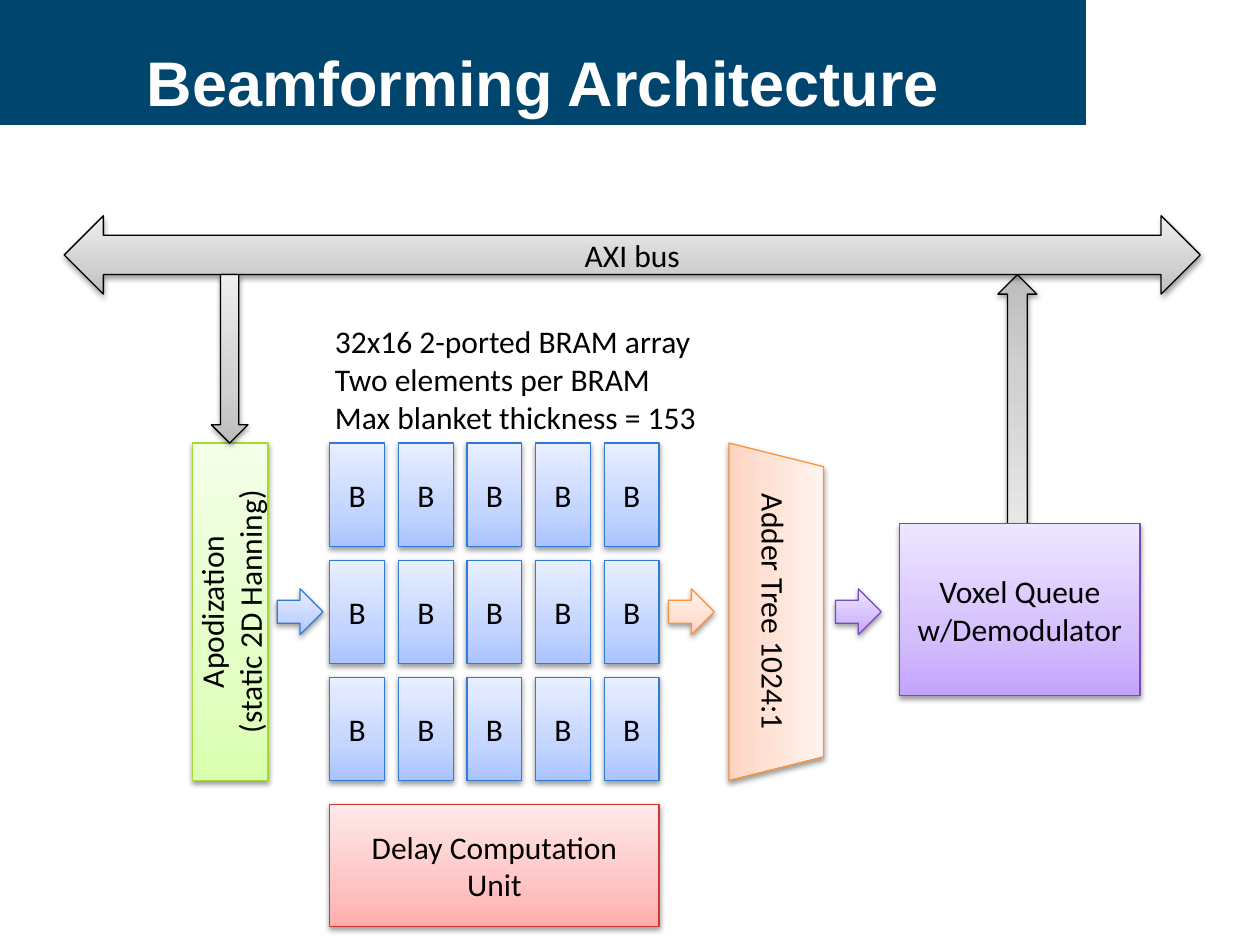
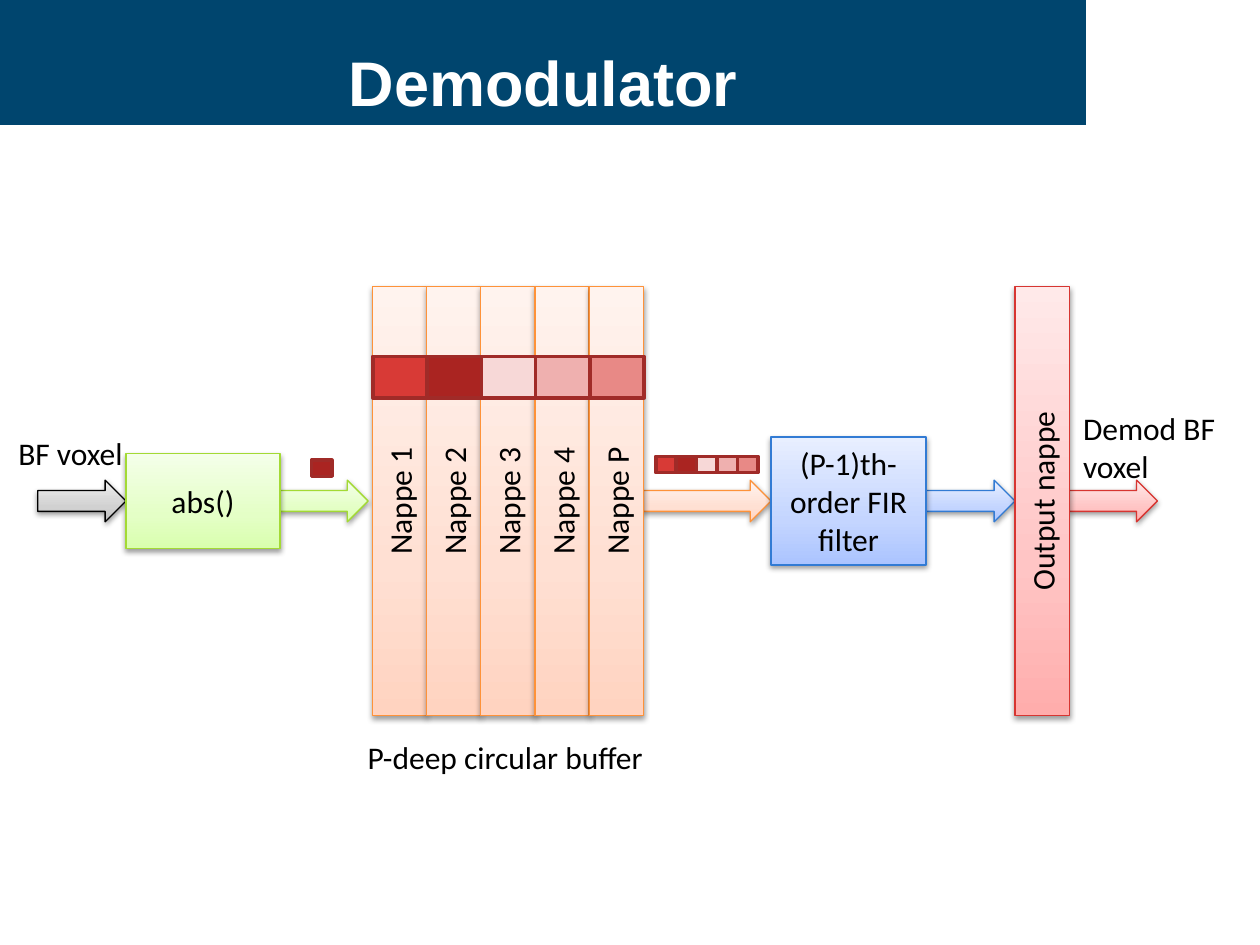
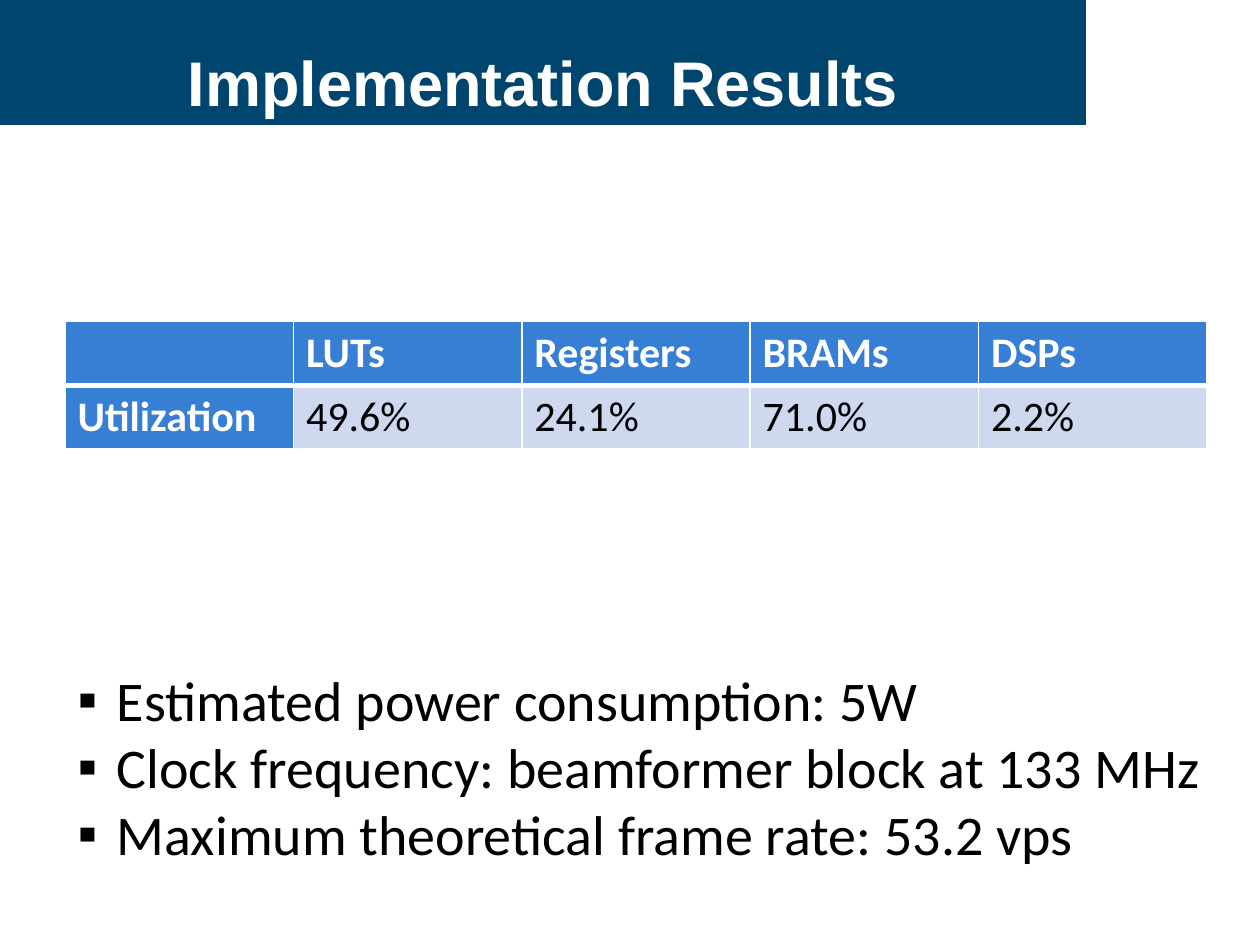
from copy import deepcopy
from lxml.etree import SubElement
from pptx import Presentation
from pptx.dml.color import RGBColor
from pptx.enum.shapes import MSO_SHAPE as Kind
from pptx.enum.text import MSO_ANCHOR, MSO_AUTO_SIZE, PP_ALIGN
from pptx.oxml.ns import qn
from pptx.util import Pt


class Theme:
    head, font = "Arial", "Calibri"
    title, text, cell, item = 36, 18, 24, 32
    navy, white, ink = "00456E", "FFFFFF", "000000"
    table, pale = "377ED5", "CED8EF"
    # Gradient colours from bottom to top, then the outline
    gray = ("BDBDBD", "D1D1D1", "EEEEEE", "000000")
    blue = ("ABC4FF", "C4D5FF", "E8EFFF", "327BD4")
    green = ("D9FFAE", "E4FFC6", "F4FFE9", "A3DA34")
    red = ("FFADAC", "FFC5C5", "FFE9E9", "D73531")
    orange = ("FFD3C0", "FFE0D3", "FFF3EE", "FE9239")
    purple = ("C3A3FE", "D4BFFD", "EEE6FF", "7B48B9")
    voxels = ("D83A36", "AA2421", "F7D8D7", "EFB0AF", "E88986")
    edge = "A02B28"


def write(frame, text, size=Theme.text, color=Theme.ink, font=Theme.font,
          bold=False, align=PP_ALIGN.LEFT):
    frame.text = text
    for para in frame.paragraphs:
        para.alignment = align
        for run in para.runs:
            run.font.size = Pt(size)
            run.font.name = font
            run.font.bold = bold
            run.font.color.rgb = RGBColor.from_string(color)


def draw(shapes, kind, x, y, w, h, skin, text=""):
    """Add a shape: a four-colour skin gives gradient and shadow, a pair is flat."""
    shape = shapes.add_shape(kind, Pt(x), Pt(y), Pt(w), Pt(h))
    shape.shadow.inherit = False
    *fills, edge = skin
    shape.line.color.rgb = RGBColor.from_string(edge)
    if len(fills) == 1:
        shape.fill.solid()
        shape.fill.fore_color.rgb = RGBColor.from_string(fills[0])
        shape.line.width = Pt(2)
        return shape
    shape.line.width = Pt(0.75)
    shape.fill.gradient()
    shape.fill.gradient_angle = 90
    first = next(shape.element.iter(qn("a:gs")))
    first.addnext(deepcopy(first))
    for stop, color, place in zip(shape.fill.gradient_stops, fills, (0, 0.35, 1)):
        stop.color.rgb = RGBColor.from_string(color)
        stop.position = place
    effects = next(shape.element.iter(qn("a:effectLst")))
    shadow = SubElement(effects, qn("a:outerShdw"), blurRad="40000", dist="20000",
                        dir="5400000", rotWithShape="0")
    black = SubElement(shadow, qn("a:srgbClr"), val=Theme.ink)
    SubElement(black, qn("a:alpha"), val="38000")
    if text:
        shape.text_frame.vertical_anchor = MSO_ANCHOR.MIDDLE
        write(shape.text_frame, text, align=PP_ALIGN.CENTER)
    return shape


deck = Presentation()
wide, high = 720, 540
deck.slide_width, deck.slide_height = Pt(wide), Pt(high)

# Shared layout: title place and header bands
split = 620.7
layout = deck.slide_layouts[1]
for holder in list(layout.placeholders):
    if holder.placeholder_format.idx >= 10:
        holder.element.getparent().remove(holder.element)
head = layout.placeholders[0]
head.left, head.top, head.width, head.height = Pt(0), Pt(10), Pt(split), Pt(72.7)
head.text_frame.vertical_anchor = MSO_ANCHOR.MIDDLE

slides = []
for name in ("Beamforming Architecture", "Demodulator", "Implementation Results"):
    slide = deck.slides.add_slide(layout)
    frame = slide.shapes.title.text_frame
    frame.word_wrap = False
    frame.auto_size = MSO_AUTO_SIZE.NONE
    write(frame, name, Theme.title, Theme.white, Theme.head, True, PP_ALIGN.CENTER)
    slides.append(slide)
beam, demod, result = slides

bands = [
    (0, 0, wide, 71.4, Theme.navy),
    (split, 0, wide - split, 90.7, Theme.white),
    (0, 87.8, split, 2.9, Theme.white),
]
# Shapes are made on a slide, then moved behind the layout's placeholders
for spot, (x, y, w, h, color) in enumerate(bands, 2):
    band = draw(beam.shapes, Kind.RECTANGLE, x, y, w, h, (color, color))
    band.line.fill.background()
    layout.shapes.element.insert(spot, band.element)

for slide in (beam, demod):
    body = slide.placeholders[1].element
    body.getparent().remove(body)

# Beamforming Architecture: the blocks share one top, height and middle line
shapes = beam.shapes
top, tall = 253.2, 192.8
mid = top + tall / 2
left, ram_w, ram_h, gap = 188.5, 31.3, 59, 7.9
array_w = 5 * ram_w + 4 * gap
bus_y, bus_h = 123.3, 44.8
bus_low = bus_y + bus_h * 0.75
queue_y, queue_h = 299.3, 98.3

rise = draw(shapes, Kind.DOWN_ARROW, 570.2, bus_low, 22.3, 168.5, Theme.gray)
rise.rotation = 180
for row in range(3):
    for col in range(5):
        draw(shapes, Kind.RECTANGLE, left + col * (ram_w + gap),
             top + row * (ram_h + gap), ram_w, ram_h, Theme.blue, "B")
draw(shapes, Kind.LEFT_RIGHT_ARROW, 36.7, bus_y, 649.2, bus_h, Theme.gray, "AXI bus")
window = draw(shapes, Kind.RECTANGLE, 110, top, 43.2, tall, Theme.green,
              "Apodization\v(static 2D Hanning)")
draw(shapes, Kind.DOWN_ARROW, 120.8, bus_low, 20.9, top - bus_low, Theme.gray)
draw(shapes, Kind.RECTANGLE, left, 459.6, array_w, 69.8, Theme.red,
     "Delay Computation Unit")
# The adder is laid out flat and then turned about its centre
adder_x, adder_w = 443.6, 54
adder = draw(shapes, Kind.TRAPEZOID, adder_x - tall / 2, mid - adder_w / 2,
             tall, adder_w, Theme.orange, "Adder Tree 1024:1")
adder.rotation = 90
draw(shapes, Kind.RECTANGLE, 514, queue_y, 137.5, queue_h, Theme.purple,
     "Voxel Queue\nw/Demodulator")
step = 26.2
for x, skin in ((158.4, Theme.blue), (382, Theme.orange), (477.4, Theme.purple)):
    draw(shapes, Kind.RIGHT_ARROW, x, mid - step / 2, step, step, skin)

# Demodulator: every stage is centred on the flow line, arrows lie behind
shapes = demod.shapes
flow, arrow_h = 286.3, 23.8
abs_x, abs_w, abs_h = 72, 88, 54
buf_x, nappe_w, nappe_h = 212.7, 31, 245
fir_x, fir_w, fir_h = 440.6, 88.6, 73.2
out_x = 580
buf_end, fir_end, out_end = buf_x + 5 * nappe_w, fir_x + fir_w, out_x + nappe_w
short = 50.4
arrows = [
    (out_end, short, Theme.red),
    (fir_end, out_x - fir_end, Theme.blue),
    (buf_end, fir_x - buf_end, Theme.orange),
    (abs_x + abs_w, short, Theme.green),
    (abs_x - short, short, Theme.gray),
]
for x, w, skin in arrows:
    draw(shapes, Kind.RIGHT_ARROW, x, flow - arrow_h / 2, w, arrow_h, skin)

nappes = [(buf_x + num * nappe_w, Theme.orange, f"Nappe {mark}")
          for num, mark in enumerate("1234P")]
nappes.append((out_x, Theme.red, "Output nappe"))
upright = [window]
for x, skin, text in nappes:
    upright.append(draw(shapes, Kind.RECTANGLE, x, flow - nappe_h / 2,
                        nappe_w, nappe_h, skin, text))
for shape in upright:
    next(shape.element.iter(qn("a:bodyPr"))).set("vert", "vert270")

stages = [
    (abs_x, abs_w, abs_h, Theme.green, "abs()"),
    (fir_x, fir_w, fir_h, Theme.blue, "(P-1)th-order FIR filter"),
]
for x, w, h, skin, text in stages:
    draw(shapes, Kind.RECTANGLE, x, flow - h / 2, w, h, skin, text)

strip = shapes.add_group_shape().shapes
voxel_w, voxel_h = 11.7, 9.2
for num, color in enumerate(Theme.voxels):
    skin = (color, Theme.edge)
    draw(shapes, Kind.RECTANGLE, buf_x + 0.4 + num * nappe_w, 203.6,
         nappe_w, arrow_h, skin)
    draw(strip, Kind.RECTANGLE, 374.7 + num * voxel_w, 260.8, voxel_w, voxel_h, skin)
draw(shapes, Kind.RECTANGLE, 178, 263, voxel_w, voxel_h, (Theme.voxels[1], Theme.edge))

labels = [
    (beam, 184.3, 180.6, 223.2, 72.7,
     "32x16 2-ported BRAM array\nTwo elements per BRAM\vMax blanket thickness = 153"),
    (demod, 3.4, 244.5, 74.9, 29, "BF voxel"),
    (demod, 611.8, 230.4, 90.7, 51, "Demod BF\vvoxel"),
    (demod, 203, 417.9, 174.2, 29, "P-deep circular buffer"),
]
for slide, x, y, w, h, text in labels:
    frame = slide.shapes.add_textbox(Pt(x), Pt(y), Pt(w), Pt(h)).text_frame
    frame.word_wrap = False
    write(frame, text)

# Implementation Results: table and list share the left margin
margin = 37.2
rows = [
    ("", "LUTs", "Registers", "BRAMs", "DSPs"),
    ("Utilization", "49.6%", "24.1%", "71.0%", "2.2%"),
]
table = result.shapes.add_table(len(rows), len(rows[0]), Pt(margin), Pt(183.6),
                                Pt(652.5), Pt(72)).table
table.first_col = True
for r, row in enumerate(rows):
    for c, text in enumerate(row):
        cell = table.cell(r, c)
        key = r == 0 or c == 0
        # A thick rule where the header row meets the values
        side = "a:lnB" if r == 0 else "a:lnT"
        rule = SubElement(cell._tc.get_or_add_tcPr(), qn(side), w=str(Pt(3)))
        paint = SubElement(rule, qn("a:solidFill"))
        SubElement(paint, qn("a:srgbClr"), val=Theme.white)
        cell.fill.solid()
        cell.fill.fore_color.rgb = RGBColor.from_string(Theme.table if key else Theme.pale)
        write(cell.text_frame, text, Theme.cell,
              Theme.white if key else Theme.ink, bold=key)

facts = [
    "Estimated power consumption: 5W",
    "Clock frequency: beamformer block at 133 MHz",
    "Maximum theoretical frame rate: 53.2 vps",
]
body = result.placeholders[1]
body.left, body.top, body.width, body.height = Pt(margin), Pt(376.6), Pt(662.4), Pt(124)
frame = body.text_frame
frame.word_wrap = False
frame.auto_size = MSO_AUTO_SIZE.NONE
write(frame, "\n".join(facts), Theme.item)
indent = Pt(22.3)
for para in frame.paragraphs:
    para.space_before = Pt(0)
for props in body.element.iter(qn("a:pPr")):
    props.set("marL", str(indent))
    props.set("indent", str(-indent))
    SubElement(props, qn("a:buFont"), typeface=Theme.head)
    SubElement(props, qn("a:buChar"), char="▪")

deck.save("out.pptx")
